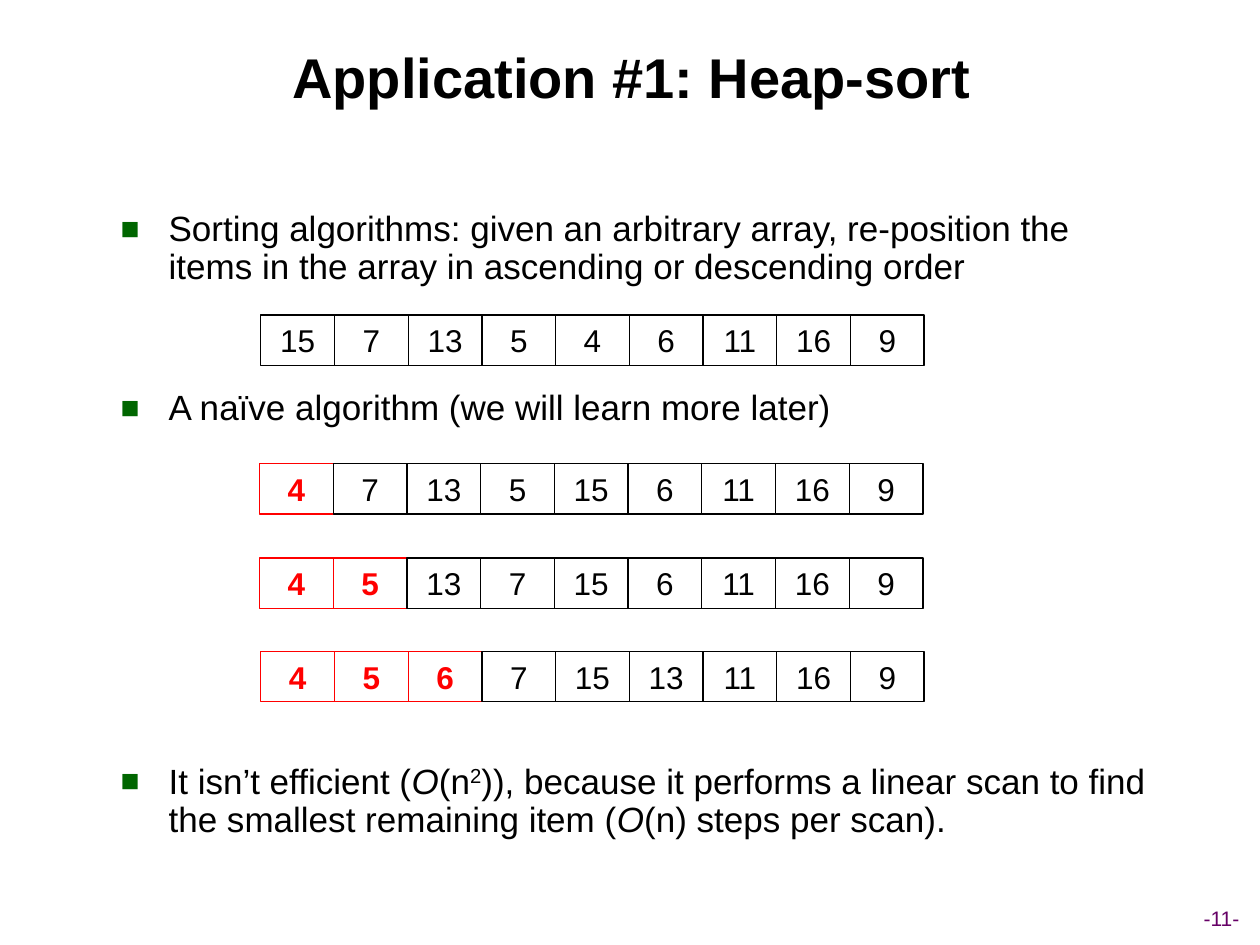
from lxml.etree import SubElement
from pptx import Presentation
from pptx.dml.color import RGBColor
from pptx.enum.shapes import MSO_SHAPE
from pptx.enum.text import MSO_ANCHOR, PP_ALIGN
from pptx.oxml.ns import qn
from pptx.util import Inches, Pt

BLACK = RGBColor(0, 0, 0)
RED = RGBColor(255, 0, 0)
GREEN = RGBColor(0, 0x66, 0)
PURPLE = RGBColor(0x66, 0, 0x66)

CELL, ROW = 0.585, 0.4
ARRAYS = [  # left, top, values, count of sorted items
    (2.07, 2.5, [15, 7, 13, 5, 4, 6, 11, 16, 9], 0),
    (2.06, 3.68, [4, 7, 13, 5, 15, 6, 11, 16, 9], 1),
    (2.06, 4.43, [4, 5, 13, 7, 15, 6, 11, 16, 9], 2),
    (2.07, 5.17, [4, 5, 6, 7, 15, 13, 11, 16, 9], 3),
]
POINTS = [  # space before, runs as (text, style)
    (0, [("Sorting algorithms: given an arbitrary array, re-position the "
          "items in the array in ascending or descending order", "")]),
    (59, [("A naïve algorithm (we will learn more later)", "")]),
    (192, [("It isn’t efficient (", ""), ("O", "italic"), ("(n", ""),
           ("2", "super"),
           (")), because it performs a linear scan to find the smallest "
            "remaining item (", ""),
           ("O", "italic"), ("(n) steps per scan).", "")]),
]


def style(font, size, color, bold=False):
    font.name, font.size, font.bold = "Arial", Pt(size), bold
    font.color.rgb = color


def place(shape, left, top, width, height):
    shape.left, shape.top = Inches(left), Inches(top)
    shape.width, shape.height = Inches(width), Inches(height)


def add_title(slide, box):
    title = slide.shapes.title
    place(title, *box)
    frame = title.text_frame
    frame.text = "Application #1: Heap-sort"
    frame.vertical_anchor = MSO_ANCHOR.MIDDLE
    para = frame.paragraphs[0]
    para.alignment = PP_ALIGN.CENTER
    style(para.runs[0].font, 32, BLACK, True)


def add_bullet(para):
    """Give the paragraph a green square and a hanging indent."""
    props = para._p.get_or_add_pPr()
    props.set("marL", str(Inches(0.38)))
    props.set("indent", str(-Inches(0.38)))
    color = SubElement(props, qn("a:buClr"))
    SubElement(color, qn("a:srgbClr"), val=str(GREEN))
    SubElement(props, qn("a:buSzPct"), val="90000")
    SubElement(props, qn("a:buFont"), typeface="Arial")
    SubElement(props, qn("a:buChar"), char="■")


def add_points(slide, box):
    frame = slide.shapes.add_textbox(*map(Inches, box)).text_frame
    frame.word_wrap = True
    for i, (gap, runs) in enumerate(POINTS):
        para = frame.add_paragraph() if i else frame.paragraphs[0]
        add_bullet(para)
        para.line_spacing = 0.9
        para.space_before = Pt(gap)
        for text, kind in runs:
            run = para.add_run()
            run.text = text
            style(run.font, 20, BLACK)
            if kind == "italic":
                run.font.italic = True
            elif kind == "super":
                run.font._element.set("baseline", "30000")


def add_array(slide, left, top, values, done):
    """Draw a row of cells, the first `done` of them in red."""
    for i, value in enumerate(values):
        color = RED if i < done else BLACK
        cell = slide.shapes.add_shape(
            MSO_SHAPE.RECTANGLE, Inches(left + i * CELL), Inches(top),
            Inches(CELL), Inches(ROW))
        cell.shadow.inherit = False
        cell.fill.background()
        cell.line.color.rgb = color
        cell.line.width = Pt(0.75)
        frame = cell.text_frame
        frame.vertical_anchor = MSO_ANCHOR.TOP
        frame.text = str(value)
        para = frame.paragraphs[0]
        para.alignment = PP_ALIGN.CENTER
        style(para.runs[0].font, 18, color, i < done)


def add_number(slide, box):
    frame = slide.shapes.add_textbox(*map(Inches, box)).text_frame
    frame.word_wrap = False
    frame.vertical_anchor = MSO_ANCHOR.MIDDLE
    frame.text = "-11-"
    para = frame.paragraphs[0]
    para.alignment = PP_ALIGN.CENTER
    style(para.runs[0].font, 12, PURPLE)


def main():
    deck = Presentation()
    deck.slide_width, deck.slide_height = Inches(10), Inches(7.5)
    slide = deck.slides.add_slide(deck.slide_layouts[5])
    add_number(slide, (9.16, 7.14, 1.07, 0.3))
    add_title(slide, (0.38, 0.13, 9.27, 0.95))
    add_points(slide, (0.86, 1.63, 8.38, 5.25))
    for array in ARRAYS:
        add_array(slide, *array)
    deck.save("out.pptx")


if __name__ == "__main__":
    main()
